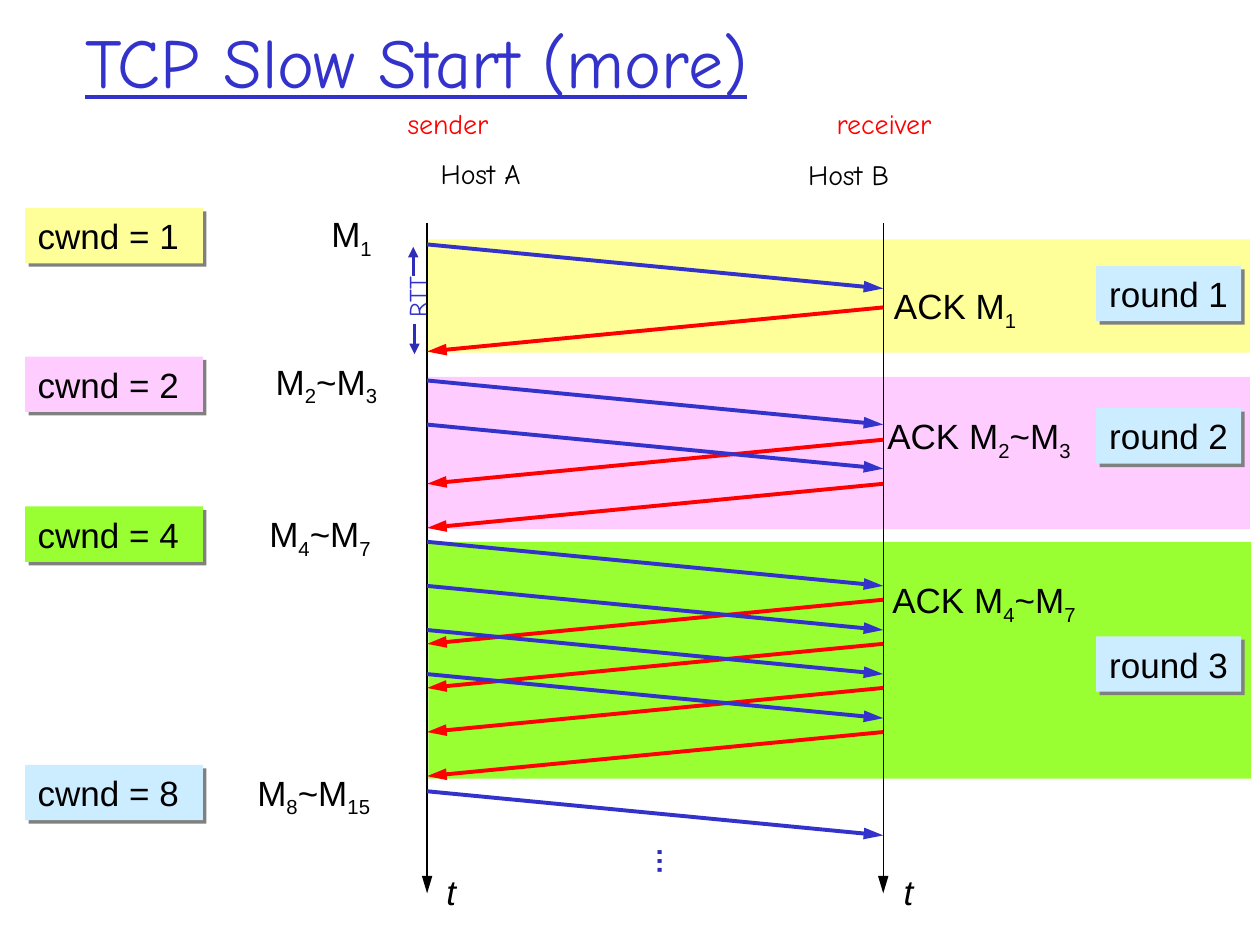
from lxml.etree import SubElement
from pptx import Presentation
from pptx.dml.color import RGBColor
from pptx.enum.shapes import MSO_CONNECTOR, MSO_SHAPE
from pptx.enum.text import MSO_ANCHOR, PP_ALIGN
from pptx.oxml.ns import qn
from pptx.util import Pt

PX = 9144
COLORS = {
    "black": "000000", "blue": "3333CC", "navy": "2D2DB9", "red": "FF0000",
    "yellow": "FFFF99", "pink": "FFCCFF", "green": "99FF33",
    "sky": "CCECFF", "gray": "808080",
}
HAND = "Comic Neue"
LEFT, RIGHT = 339, 701
STEP = 35

deck = Presentation()
deck.slide_width = 1000 * PX
deck.slide_height = 750 * PX
slide = deck.slides.add_slide(deck.slide_layouts[6])
shapes = slide.shapes


def write(x, y, w, h, parts, size=20, color="black", face="Arial",
          align=PP_ALIGN.CENTER, fill=None):
    area = (x * PX, y * PX, w * PX, h * PX)
    if fill:
        box = shapes.add_shape(MSO_SHAPE.RECTANGLE, *area)
        box.fill.solid()
        box.fill.fore_color.rgb = RGBColor.from_string(COLORS[fill])
        box.line.fill.background()
        box.shadow.inherit = False
        effects = box._element.spPr.find(qn("a:effectLst"))
        shade = SubElement(effects, qn("a:outerShdw"), dist="35921",
                           dir="2700000", algn="ctr", rotWithShape="0")
        SubElement(shade, qn("a:srgbClr"), val=COLORS["gray"])
    else:
        box = shapes.add_textbox(*area)
    frame = box.text_frame
    frame.word_wrap = False
    frame.vertical_anchor = MSO_ANCHOR.MIDDLE if fill else MSO_ANCHOR.TOP
    para = frame.paragraphs[0]
    para.alignment = align
    for i, part in enumerate(parts):
        run = para.add_run()
        run.text = part
        run.font.size = Pt(size)
        run.font.name = face
        run.font.color.rgb = RGBColor.from_string(COLORS[color])
        if i % 2:
            run._r.get_or_add_rPr().set("baseline", "-25000")
    return box


def arrow(x1, y1, x2, y2, color, width, length="lg"):
    line = shapes.add_connector(
        MSO_CONNECTOR.STRAIGHT, x1 * PX, y1 * PX, x2 * PX, y2 * PX)
    line.line.color.rgb = RGBColor.from_string(COLORS[color])
    line.line.width = Pt(width)
    SubElement(line.line._get_or_add_ln(), qn("a:tailEnd"),
               type="triangle", w="med", len=length)
    SubElement(line._element.spPr, qn("a:effectLst"))


bands = [
    (339, 190, 90, "yellow"),
    (339, 299, 121, "pink"),
    (340, 430, 188, "green"),
]
for x, y, h, color in bands:
    band = shapes.add_shape(MSO_SHAPE.RECTANGLE, x * PX, y * PX, 653 * PX, h * PX)
    band.fill.solid()
    band.fill.fore_color.rgb = RGBColor.from_string(COLORS[color])
    band.line.fill.background()
    band.shadow.inherit = False

for x in (LEFT, RIGHT):
    arrow(x, 177, x, 709, "black", 0.75)

for count, send, reply in [(1, 194, 244), (2, 302, 349), (4, 430, 476), (1, 628, None)]:
    for i in range(count):
        top = send + i * STEP
        arrow(LEFT, top, RIGHT, top + STEP, "blue", 2.25)
        if reply:
            top = reply + i * STEP
            arrow(RIGHT, top, LEFT, top + STEP, "red", 2.25)

labels = [
    (252, 164, 54, ["M", "1"]),
    (207, 281, 104, ["M", "2", "~M", "3"]),
    (202, 402, 104, ["M", "4", "~M", "7"]),
    (192, 607, 114, ["M", "8", "~M", "15"]),
    (699, 221, 118, ["ACK M", "1"]),
    (694, 324, 166, ["ACK M", "2", "~M", "3"]),
    (698, 454, 166, ["ACK M", "4", "~M", "7"]),
]
for x, y, w, parts in labels:
    write(x, y, w, 44, parts)

windows = [(165, 1, "yellow"), (283, 2, "pink"), (402, 4, "green"), (607, 8, "sky")]
for y, size, color in windows:
    write(20, y, 141, 44, [f"cwnd = {size}"], align=PP_ALIGN.LEFT, fill=color)

for i, y in enumerate((211, 324, 505), 1):
    write(870, y, 115, 44, [f"round {i}"], fill="sky")

for x in (344, 707):
    time = write(x, 686, 28, 44, ["t"])
    time.text_frame.paragraphs[0].runs[0].font.italic = True

dots = write(509, 665, 43, 37, ["…"], 16, "navy")
dots.rotation = 90
dots.text_frame.paragraphs[0].runs[0].font.bold = True

write(335, 119, 93, 37, ["Host A"], 16, face=HAND)
write(628, 120, 91, 37, ["Host B"], 16, face=HAND)
write(298, 80, 115, 37, ["sender"], 16, "red", HAND)
write(644, 80, 115, 37, ["receiver"], 16, "red", HAND)

trip = write(301, 219, 59, 33, ["RTT"], 14, "blue", HAND)
trip.rotation = 270
arrow(328, 219, 328, 196, "navy", 1.5, "med")
arrow(329, 257, 329, 281, "navy", 1.5, "med")

title = write(58, 9, 850, 77, ["TCP Slow Start (more)"], 40, "blue", HAND, PP_ALIGN.LEFT)
title.text_frame.word_wrap = True
title.text_frame.vertical_anchor = MSO_ANCHOR.BOTTOM
title.text_frame.paragraphs[0].runs[0].font.underline = True

deck.save("out.pptx")
